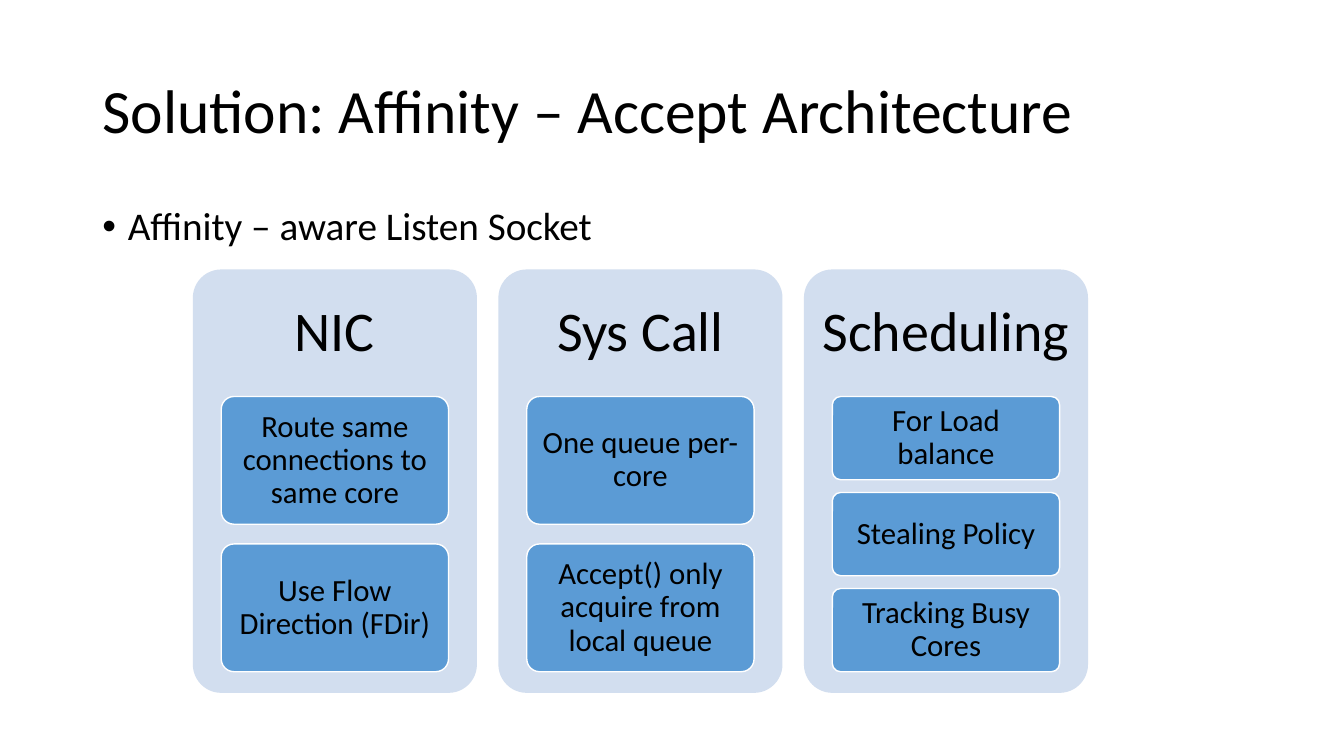
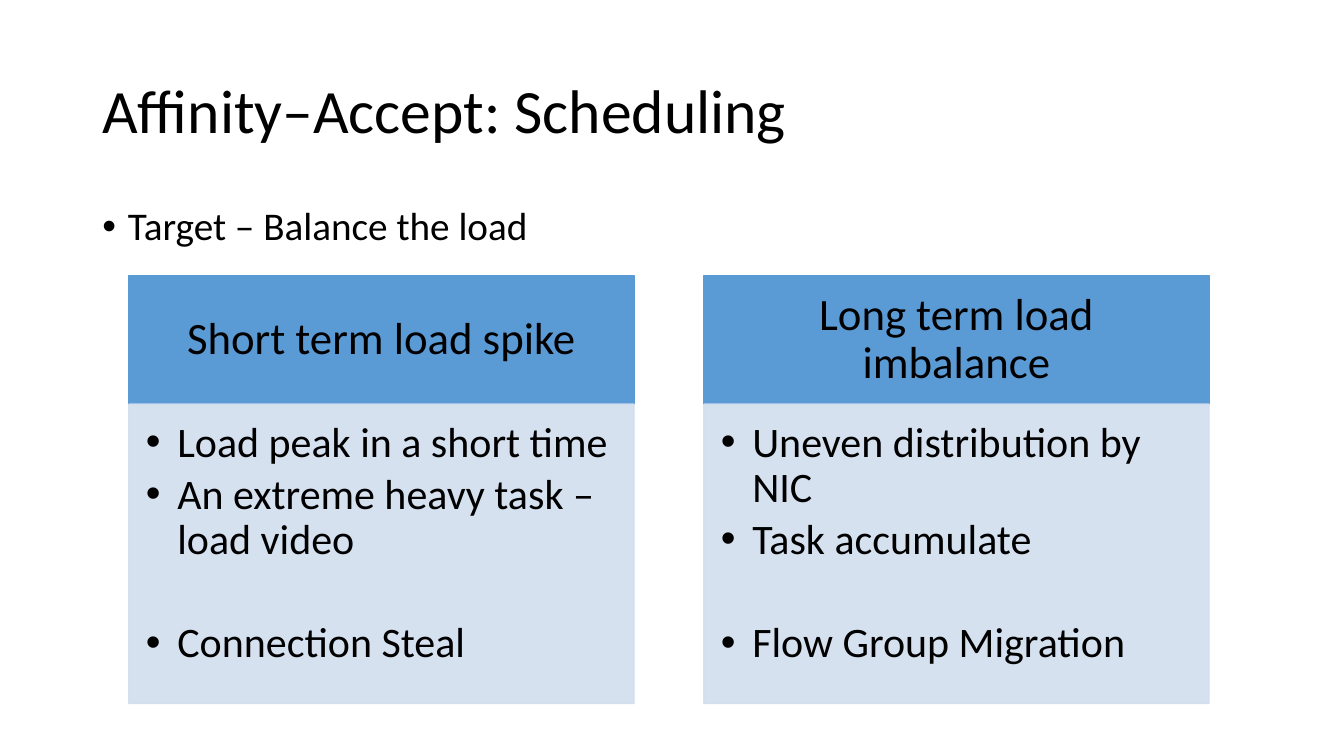
import lxml.etree
import pptx
import pptx.dml.color
import pptx.enum.shapes
import pptx.enum.text
import pptx.oxml.ns
import pptx.util

Cm = pptx.util.Cm
Pt = pptx.util.Pt
qn = pptx.oxml.ns.qn
ALIGN = pptx.enum.text.PP_ALIGN
ANCHOR = pptx.enum.text.MSO_ANCHOR
PRESET = pptx.enum.shapes.MSO_SHAPE

COLOURS = {"text": "000000", "strong": "5B9BD5", "pale": "D2DEEF", "edge": "FFFFFF"}
FONT = "Calibri"
TITLE_BOX = (2.33, 1.01, 29.21, 3.68)
LEAD_BOX = (2.33, 5.08, 29.21, 1.7)
COLUMNS_BOX = (4.86, 6.79, 22.56, 10.67)
PANELS_BOX = (3.25, 6.95, 27.22, 10.78)
HEAD_SHARE = 0.3

COLUMNS = [
    ("NIC", ["Route same connections to same core", "Use Flow Direction (FDir)"]),
    ("Sys Call", ["One queue per-core", "Accept() only acquire from local queue"]),
    ("Scheduling", ["For Load balance", "Stealing Policy", "Tracking Busy Cores"]),
]
PANELS = [
    ("Short term load spike",
     ["Load peak in a short time", "An extreme heavy task – load video"],
     "Connection Steal"),
    ("Long term load imbalance",
     ["Uneven distribution by NIC", "Task accumulate"],
     "Flow Group Migration"),
]


def colour(name):
    return pptx.dml.color.RGBColor.from_string(COLOURS[name])


def write(frame, text, size, align=ALIGN.CENTER, anchor=ANCHOR.MIDDLE,
          insets=(0.25, 0.13, 0.25, 0.13), before=0, after=0, indent=None):
    frame.word_wrap = True
    frame.auto_size = pptx.enum.text.MSO_AUTO_SIZE.NONE
    frame.vertical_anchor = anchor
    (frame.margin_left, frame.margin_top,
     frame.margin_right, frame.margin_bottom) = map(Cm, insets)
    paragraph = frame.add_paragraph() if frame.text else frame.paragraphs[0]
    paragraph.alignment = align
    paragraph.line_spacing = 0.9
    paragraph.space_before = Pt(before)
    paragraph.space_after = Pt(after)
    run = paragraph.add_run()
    run.text = text
    run.font.name = FONT
    run.font.size = Pt(size)
    run.font.color.rgb = colour("text")
    if indent:
        properties = paragraph._p.get_or_add_pPr()
        properties.set("marL", str(Cm(indent)))
        properties.set("indent", str(-Cm(indent)))
        lxml.etree.SubElement(properties, qn("a:buFont"), typeface="Arial")
        lxml.etree.SubElement(properties, qn("a:buChar"), char="•")


def place(part, box):
    part.left, part.top, part.width, part.height = map(Cm, box)


def add_block(slide, preset, box, fill, line=None, opacity=None):
    block = slide.shapes.add_shape(preset, *map(Cm, box))
    block.shadow.inherit = False
    block.fill.solid()
    block.fill.fore_color.rgb = colour(fill)
    if line:
        block.line.color.rgb = colour(line)
        block.line.width = Pt(1)
    else:
        block.line.fill.background()
    if preset == PRESET.ROUNDED_RECTANGLE:
        block.adjustments[0] = 0.1
    if opacity:
        for shade in block.element.spPr.iter(qn("a:srgbClr")):
            lxml.etree.SubElement(shade, qn("a:alpha"), val=str(opacity * 1000))
    return block


def add_topic_slide(deck, title, lead):
    slide = deck.slides.add_slide(deck.slide_layouts[1])
    heading, body = slide.shapes.title, slide.placeholders[1]
    place(heading, TITLE_BOX)
    write(heading.text_frame, title, 44, align=ALIGN.LEFT)
    place(body, LEAD_BOX)
    write(body.text_frame, lead, 28, align=ALIGN.LEFT, anchor=ANCHOR.TOP,
          before=10, indent=0.64)
    return slide


def split_across(box, count, gap):
    left, top, width, height = box
    share = (width - gap * (count - 1)) / count
    return [(left + i * (share + gap), top, share, height) for i in range(count)]


def draw_column(slide, box, name, steps):
    left, top, width, height = box
    add_block(slide, PRESET.ROUNDED_RECTANGLE, box, "pale")
    head_height = height * HEAD_SHARE
    heading = slide.shapes.add_textbox(*map(Cm, (left, top, width, head_height)))
    write(heading.text_frame, name, 40, insets=(0.43,) * 4)
    gap_ratio = 0.154
    step_height = height * 0.65 / (len(steps) + gap_ratio * (len(steps) - 1))
    for i, step in enumerate(steps):
        step_top = top + head_height + i * step_height * (1 + gap_ratio)
        card = add_block(slide, PRESET.ROUNDED_RECTANGLE,
                         (left + width * 0.1, step_top, width * 0.8, step_height),
                         "strong", line="edge")
        write(card.text_frame, step, 22, insets=(0.15, 0.12, 0.15, 0.12))


def draw_panel(slide, box, name, causes, remedy):
    left, top, width, height = box
    head_height = height * HEAD_SHARE
    header = add_block(slide, PRESET.RECTANGLE, (left, top, width, head_height),
                       "strong", line="strong")
    write(header.text_frame, name, 32, insets=(0.64, 0.36, 0.64, 0.36))
    details = add_block(slide, PRESET.RECTANGLE,
                        (left, top + head_height, width, height - head_height),
                        "pale", line="pale", opacity=90)
    bullet_format = dict(size=30, align=ALIGN.LEFT, anchor=ANCHOR.TOP, after=4.5,
                         insets=(0.43, 0.43, 0.58, 0.66), indent=0.79)
    for cause in causes:
        write(details.text_frame, cause, **bullet_format)
    write(details.text_frame, remedy, before=37, **bullet_format)


def main():
    deck = pptx.Presentation()
    deck.slide_width, deck.slide_height = Cm(33.87), Cm(19.05)

    architecture = add_topic_slide(deck, "Solution: Affinity – Accept Architecture",
                                   "Affinity – aware Listen Socket")
    for box, column in zip(split_across(COLUMNS_BOX, len(COLUMNS), 0.54), COLUMNS):
        draw_column(architecture, box, *column)

    scheduling = add_topic_slide(deck, "Affinity–Accept: Scheduling",
                                 "Target – Balance the load")
    for box, panel in zip(split_across(PANELS_BOX, len(PANELS), 1.76), PANELS):
        draw_panel(scheduling, box, *panel)

    deck.save("out.pptx")


if __name__ == "__main__":
    main()
